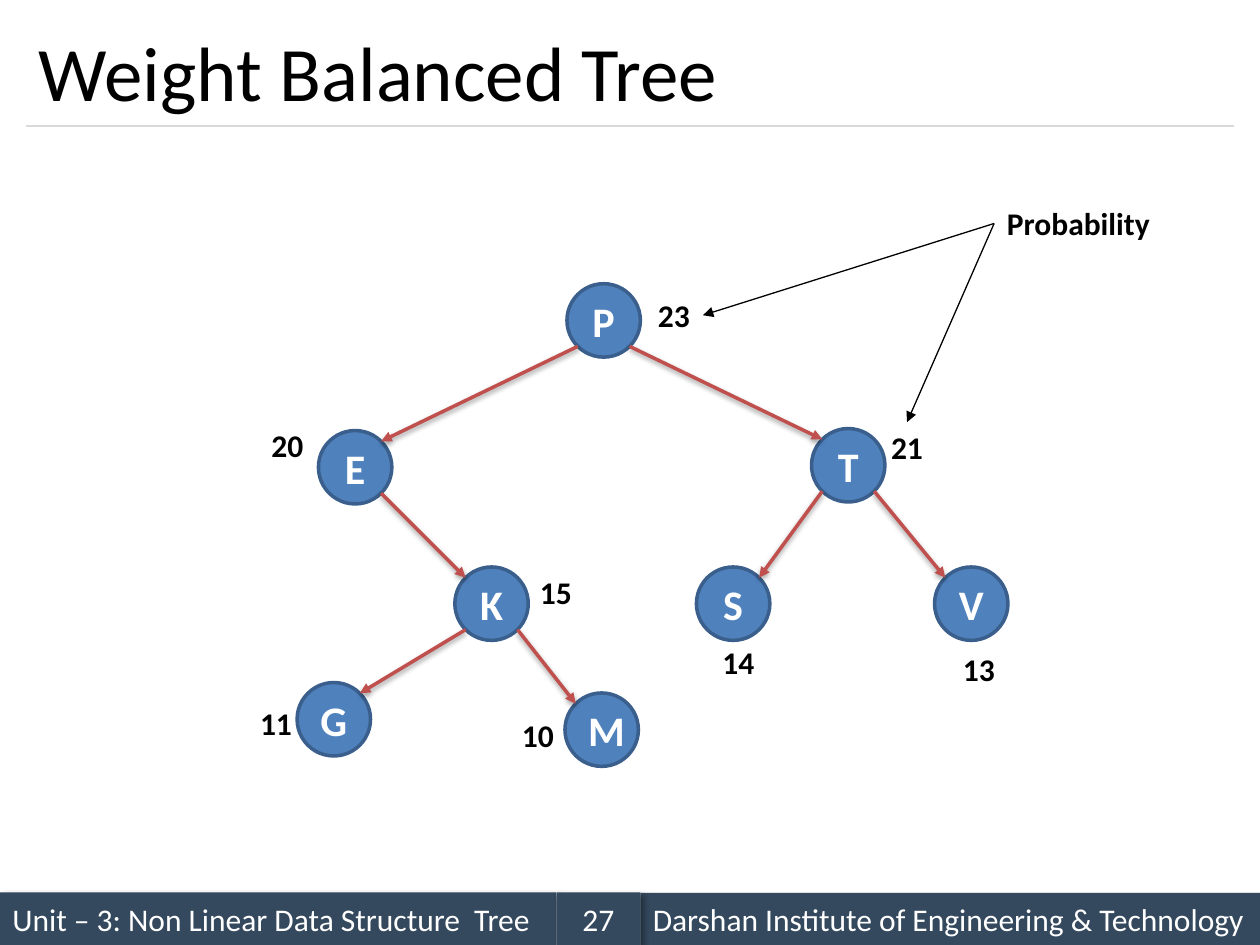
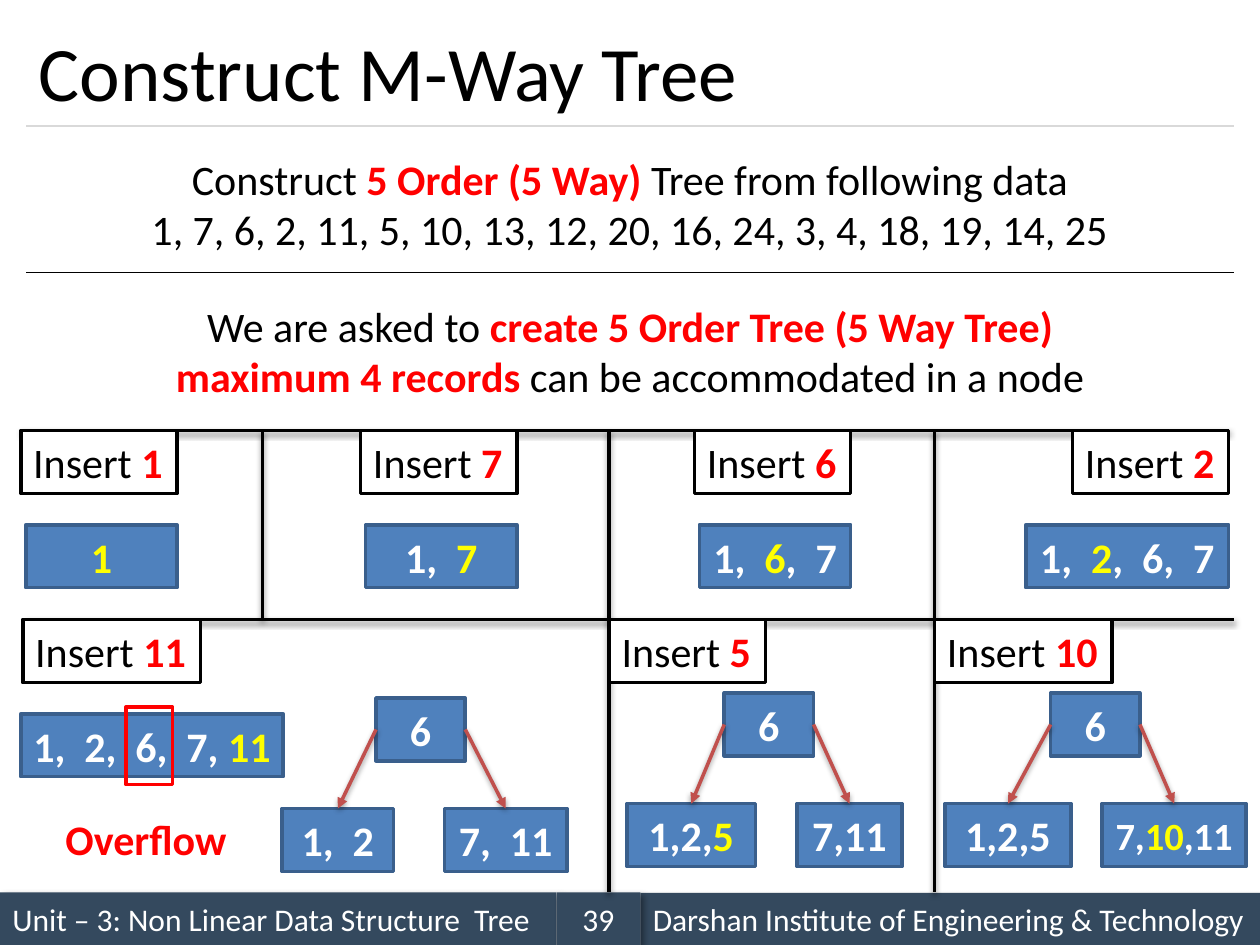
from dataclasses import dataclass, replace
from math import sqrt
from typing import NamedTuple, Optional

from lxml.etree import SubElement as Sub
from pptx import Presentation
from pptx.dml.color import RGBColor as Rgb
from pptx.enum.shapes import MSO_CONNECTOR as Link, MSO_SHAPE as Kind
from pptx.enum.text import MSO_ANCHOR as Anchor, MSO_AUTO_SIZE as Auto, PP_ALIGN as Align
from pptx.oxml.ns import qn
from pptx.util import Cm, Pt

INK = {
    "black": "000000", "white": "FFFFFF", "red": "FF0000", "yellow": "FFFF00",
    "navy": "34495E", "blue": "4F81BD", "rim": "3A5F8C", "brick": "C0504D",
    "grey": "D9D9D9",
}
FACE = "Calibri"
LEFT, RIGHT, WIDE = 0.53, 24.87, 24.34
TITLE_ONLY = 5


class Spot(NamedTuple):
    x: float
    y: float
    w: float
    h: float


class Shade(NamedTuple):
    alpha: int
    blur: float
    dist: float
    angle: int


@dataclass(frozen=True)
class Look:
    kind: Optional[Kind] = None
    fill: Optional[str] = None
    edge: Optional[str] = None
    ink: str = "black"
    hot: str = "red"
    size: int = 24
    bold: bool = False
    align: Align = Align.CENTER
    anchor: Anchor = Anchor.TOP
    wrap: bool = True
    shade: Optional[Shade] = None


@dataclass(frozen=True)
class Stroke:
    ink: str = "black"
    width: float = 0.75
    arrow: bool = False
    shade: Optional[Shade] = None


SOFT = Shade(38, 3.15, 1.57, 90)
DEEP = Shade(40, 4, 3, 45)

HEAD = Look(size=44, align=Align.LEFT, anchor=Anchor.MIDDLE)
BAND = Look(Kind.RECTANGLE, "navy", ink="white", size=18, align=Align.LEFT,
            anchor=Anchor.MIDDLE, shade=DEEP)
PAGE = replace(BAND, align=Align.CENTER)
PLAIN = Look()
KEYS = Look(Kind.RECTANGLE, "blue", "rim", "white", "yellow", bold=True,
            anchor=Anchor.MIDDLE)
NODE = replace(KEYS, kind=Kind.OVAL)
TAG = Look(Kind.RECTANGLE, "white", "black", align=Align.LEFT, wrap=False)
NOTE = Look(size=18, bold=True, wrap=False)
ALERT = Look(ink="red", bold=True, align=Align.LEFT, wrap=False)
MARK = Look(Kind.RECTANGLE, edge="red")

RULE = Stroke("grey")
THIN = Stroke()
GRID = Stroke(width=2, shade=SOFT)
EDGE = Stroke("brick", 2, True, SOFT)
HINT = Stroke(arrow=True)


def tint(name: str) -> Rgb:
    return Rgb.from_string(INK[name])


def cast(shape, shade: Optional[Shade]) -> None:
    """Give the shape this shadow, or none at all."""
    props = shape._element.spPr
    effects = props.find(qn("a:effectLst"))
    if effects is None:
        effects = Sub(props, qn("a:effectLst"))
    if shade:
        outer = Sub(effects, qn("a:outerShdw"), blurRad=str(Pt(shade.blur)),
                    dist=str(Pt(shade.dist)), dir=str(shade.angle * 60000),
                    rotWithShape="0")
        color = Sub(outer, qn("a:srgbClr"), val=INK["black"])
        Sub(color, qn("a:alpha"), val=str(shade.alpha * 1000))


def write(frame, text: str, look: Look) -> None:
    """Fill the frame; words between asterisks take the hot colour."""
    frame.word_wrap = look.wrap
    frame.vertical_anchor = look.anchor
    if not look.wrap:
        frame.auto_size = Auto.SHAPE_TO_FIT_TEXT
    for row, line in enumerate(text.split("\n")):
        para = frame.add_paragraph() if row else frame.paragraphs[0]
        para.alignment = look.align
        font = para.font
        font.name, font.size, font.bold = FACE, Pt(look.size), look.bold
        font.color.rgb = tint(look.ink)
        for place, part in enumerate(line.split("*")):
            if part:
                run = para.add_run()
                run.text = part
                if place % 2:
                    run.font.bold = True
                    run.font.color.rgb = tint(look.hot)


def box(slide, spot: Spot, text: str, look: Look):
    area = [Cm(side) for side in spot]
    if look.kind is None:
        shape = slide.shapes.add_textbox(*area)
    else:
        shape = slide.shapes.add_shape(look.kind, *area)
        shape.shadow.inherit = False
        if look.fill:
            shape.fill.solid()
            shape.fill.fore_color.rgb = tint(look.fill)
        else:
            shape.fill.background()
        if look.edge:
            shape.line.color.rgb = tint(look.edge)
            shape.line.width = Pt(2)
        else:
            shape.line.fill.background()
        cast(shape, look.shade)
    if text:
        write(shape.text_frame, text, look)
    return shape


def line(slide, x1: float, y1: float, x2: float, y2: float, stroke: Stroke):
    wire = slide.shapes.add_connector(Link.STRAIGHT, Cm(x1), Cm(y1), Cm(x2), Cm(y2))
    wire.line.color.rgb = tint(stroke.ink)
    wire.line.width = Pt(stroke.width)
    if stroke.arrow:
        Sub(wire.get_or_add_ln(), qn("a:tailEnd"), type="triangle")
    cast(wire, stroke.shade)
    return wire


def join(slide, start, side: int, end, stroke: Stroke, goal: int) -> None:
    wire = line(slide, 0, 0, 1, 1, stroke)
    wire.begin_connect(start, side)
    wire.end_connect(end, goal)


def begin(deck, title: str, page: str):
    """Add a slide with its title, rule and footer bands."""
    slide = deck.slides.add_slide(deck.slide_layouts[TITLE_ONLY])
    head = slide.shapes.title
    head.left, head.top, head.width, head.height = Cm(LEFT), Cm(0.32), Cm(WIDE), Cm(2.22)
    write(head.text_frame, title, HEAD)
    line(slide, LEFT, 2.54, RIGHT, 2.54, RULE)
    box(slide, Spot(0, 17.99, 11.22, 1.06), "Unit – 3: Non Linear Data Structure  Tree", BAND)
    box(slide, Spot(12.91, 18, 12.49, 1.06),
        "Darshan Institute of Engineering & Technology", BAND)
    box(slide, Spot(11.22, 17.99, 1.69, 1.06), page, PAGE)
    return slide


class Leaf(NamedTuple):
    """A tree node: its centre, its weight and where the weight stands."""
    x: float
    y: float
    weight: str
    left: float
    top: float


TREE = {
    "P": Leaf(12.17, 6.46, "23", 13, 5.84),
    "E": Leaf(7.16, 9.42, "20", 5.21, 8.46),
    "K": Leaf(9.91, 12.17, "15", 10.62, 11.43),
    "G": Leaf(6.73, 14.5, "11", 4.98, 14.07),
    "M": Leaf(12.13, 14.71, "10", 10.26, 14.3),
    "T": Leaf(17.1, 9.38, "21", 17.7, 8.51),
    "S": Leaf(14.78, 12.17, "14", 14.3, 12.83),
    "V": Leaf(19.58, 12.17, "13", 19.15, 12.98),
}
KIDS = {"P": "ET", "E": "K", "K": "GM", "T": "SV"}
SPAN = 1.48
NOTE_H = 1.03


def weights(deck) -> None:
    slide = begin(deck, "Weight Balanced Tree", "27")
    for name, leaf in TREE.items():
        box(slide, Spot(leaf.x - SPAN / 2, leaf.y - SPAN / 2, SPAN, SPAN), name, NODE)
    reach = SPAN / 2 / sqrt(2)
    for name, kids in KIDS.items():
        top = TREE[name]
        for kid in kids:
            low = TREE[kid]
            turn = reach if low.x > top.x else -reach
            line(slide, top.x + turn, top.y + reach, low.x - turn, low.y - reach, EDGE)
    notes = {name: box(slide, Spot(leaf.left, leaf.top, 1.17, NOTE_H), leaf.weight, NOTE)
             for name, leaf in TREE.items()}
    label = box(slide, Spot(20.04, 3.99, 3.4, NOTE_H), "Probability", NOTE)
    join(slide, label, 1, notes["P"], HINT, 3)
    join(slide, label, 1, notes["T"], HINT, 0)


class Step(NamedTuple):
    right: float
    key: str
    keys: str
    width: float = 3.05


class Split(NamedTuple):
    """A root with two children, each child a left edge, width and keys."""
    x: float
    y: float
    kids: tuple


TOP, MID, FOOT = 8.68, 12.49, 17.99
COLS = (5.29, 12.28, 18.84)
CELL = 1.27
STEPS = (
    Step(3.57, "1", "*1*"),
    Step(10.42, "7", "1,  *7*"),
    Step(17.15, "6", "1,  *6*,  7"),
    Step(24.77, "2", "1,  *2*,  6,  7", 4.09),
)
TAGS = ((0.46, "11", 3.58), (COLS[1], "5", 3.15), (COLS[2], "10", 3.58))
SPLITS = (
    Split(7.58, 14.07, ((5.69, 2.24, "1,  2", 24), (8.96, 2.47, "7,  11", 24))),
    Split(14.6, 13.97, ((12.64, 2.59, "1,2,*5*", 24), (16.07, 2.11, "7,11", 24))),
    Split(21.18, 13.97, ((19.05, 2.54, "1,2,5", 24), (22.22, 2.9, "7,*10*,11", 22))),
)


def tag(slide, x: float, y: float, key: str, width: float) -> None:
    box(slide, Spot(x, y, width, CELL), f"Insert *{key}*", TAG)


def ways(deck) -> None:
    slide = begin(deck, "Construct M-Way Tree", "39")
    box(slide, Spot(LEFT, 2.97, WIDE, 2.31),
        "Construct *5 Order (5 Way) *Tree from following data\n"
        "1, 7, 6, 2, 11, 5, 10, 13, 12, 20, 16, 24, 3, 4, 18, 19, 14, 25", PLAIN)
    line(slide, LEFT, 5.5, RIGHT, 5.5, THIN)
    box(slide, Spot(LEFT, 5.93, WIDE, 2.31),
        "We are asked to *create 5 Order Tree (5 Way Tree)*\n"
        "*maximum 4 records* can be accommodated in a node", PLAIN)

    line(slide, 0.42, TOP, 24.77, TOP, GRID)
    line(slide, LEFT, MID, RIGHT, MID, GRID)
    for x in COLS:
        line(slide, x, TOP, x, MID, GRID)
    for x in COLS[1:]:
        line(slide, x, MID, x, FOOT, GRID)

    for step in STEPS:
        tag(slide, step.right - 3.15, TOP, step.key, 3.15)
        box(slide, Spot(step.right - step.width, 10.58, step.width, CELL), step.keys, KEYS)
    for x, key, width in TAGS:
        tag(slide, x, MID, key, width)

    box(slide, Spot(0.42, 14.39, 5.29, CELL), "1,  2,  6,  7, *11*", KEYS)
    box(slide, Spot(1.07, 16.28, 3.81, CELL), "Overflow", ALERT)
    box(slide, Spot(2.54, 14.25, 0.94, 1.57), "", MARK)

    for split in SPLITS:
        root = box(slide, Spot(split.x, split.y, 1.8, CELL), "6", KEYS)
        for side, (x, width, keys, size) in zip((1, 3), split.kids):
            kid = box(slide, Spot(x, split.y + 2.23, width, CELL), keys,
                      replace(KEYS, size=size))
            join(slide, root, side, kid, EDGE, 0)


def main() -> None:
    deck = Presentation()
    deck.slide_width, deck.slide_height = Cm(25.4), Cm(19.05)
    weights(deck)
    ways(deck)
    deck.save("out.pptx")


if __name__ == "__main__":
    main()
